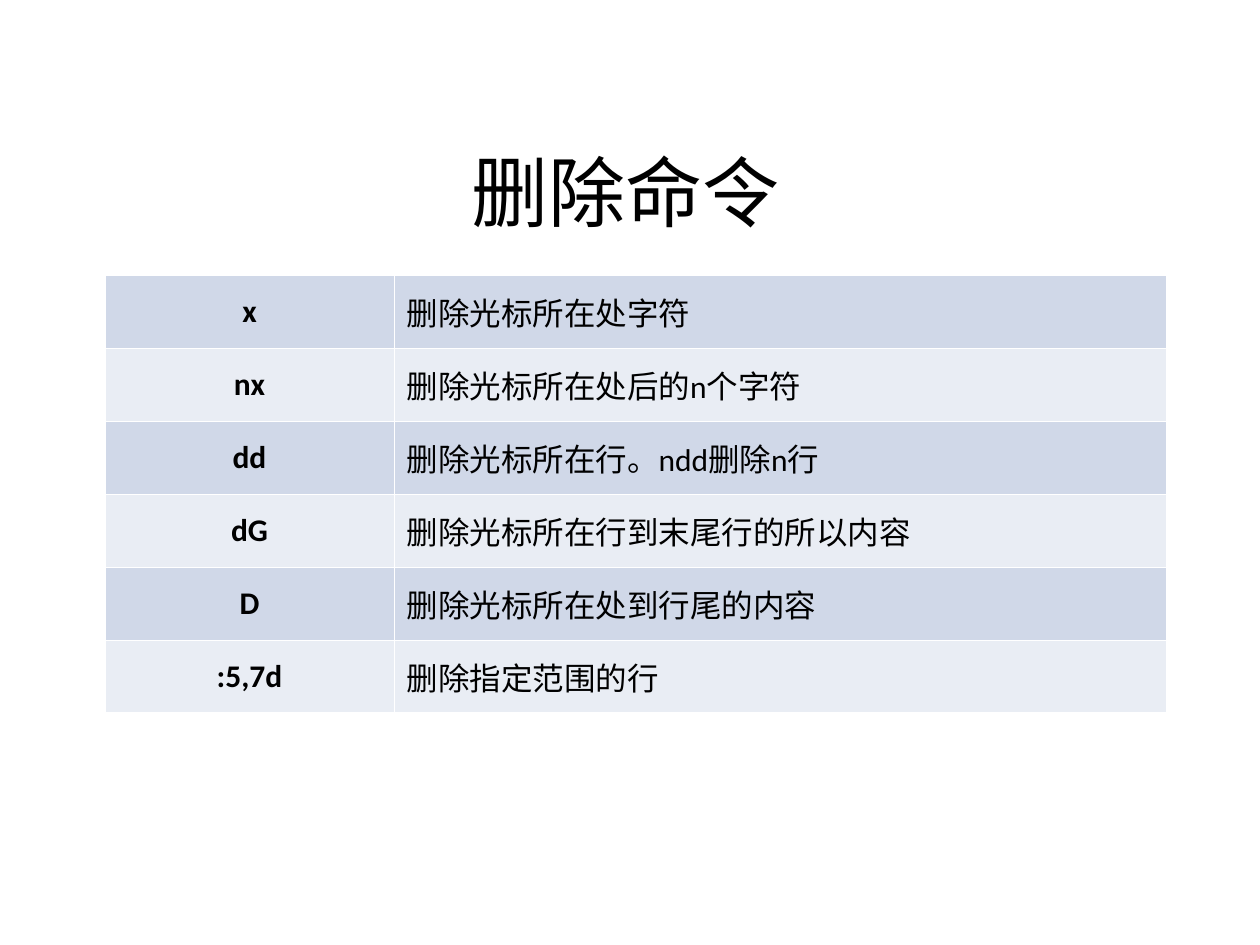
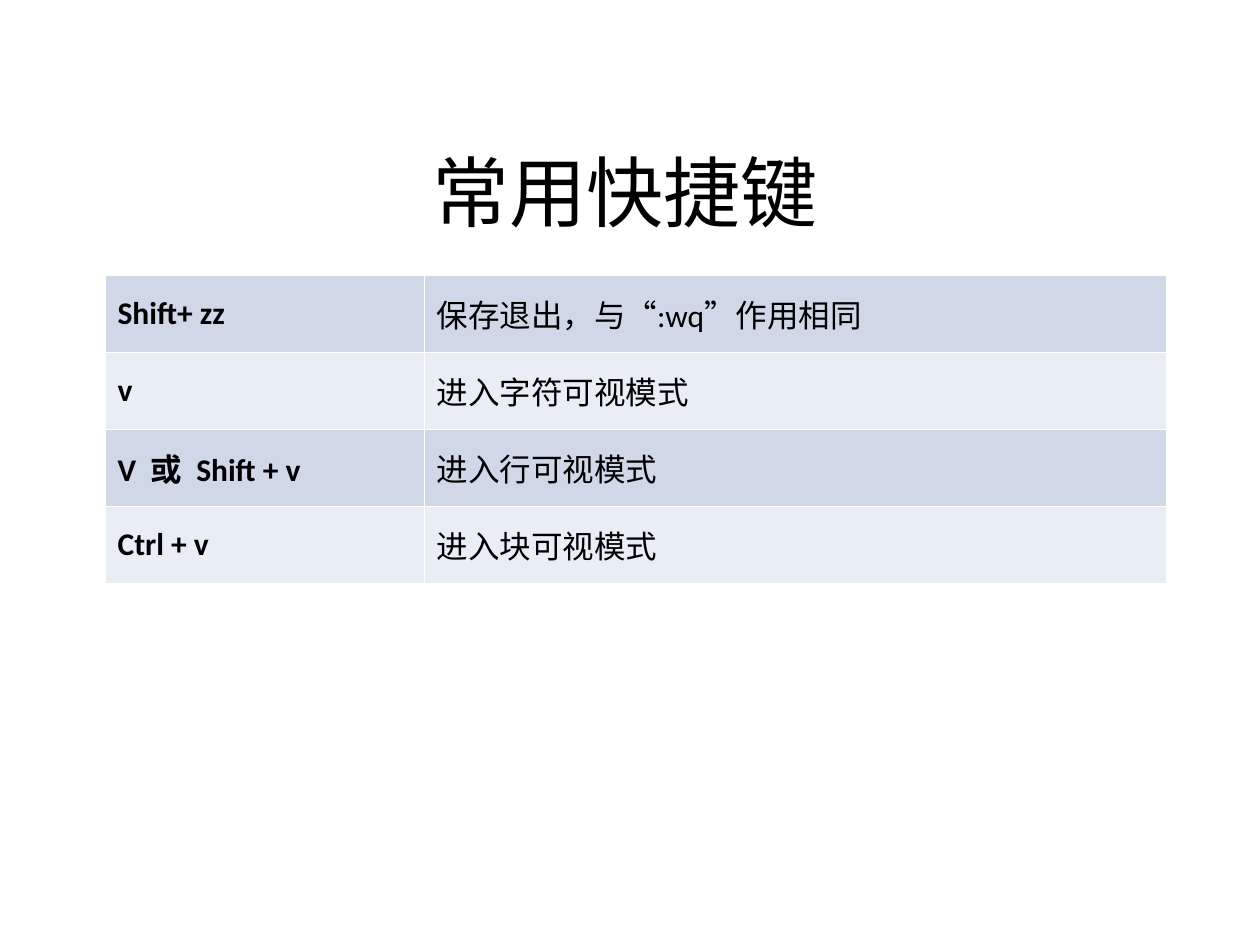
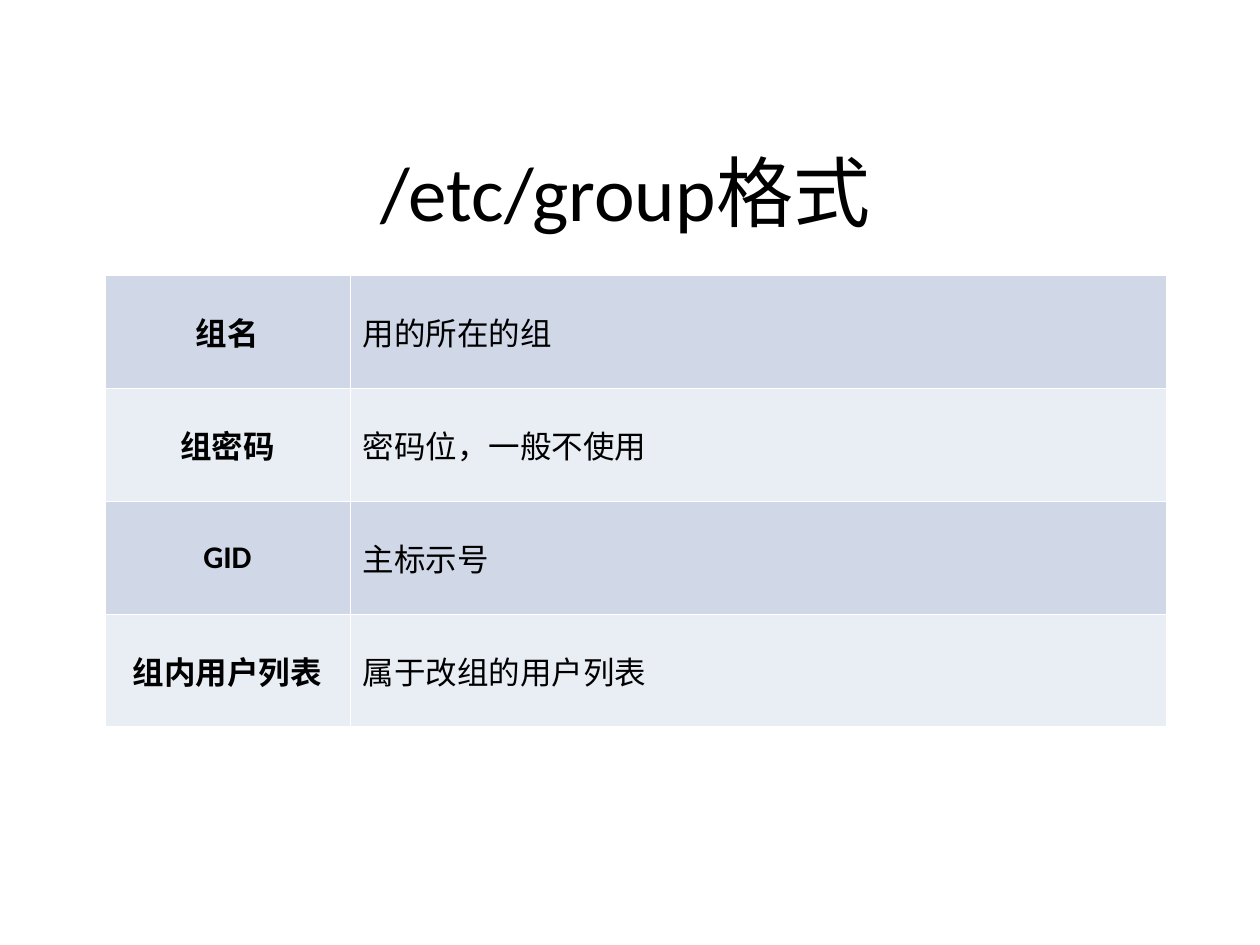
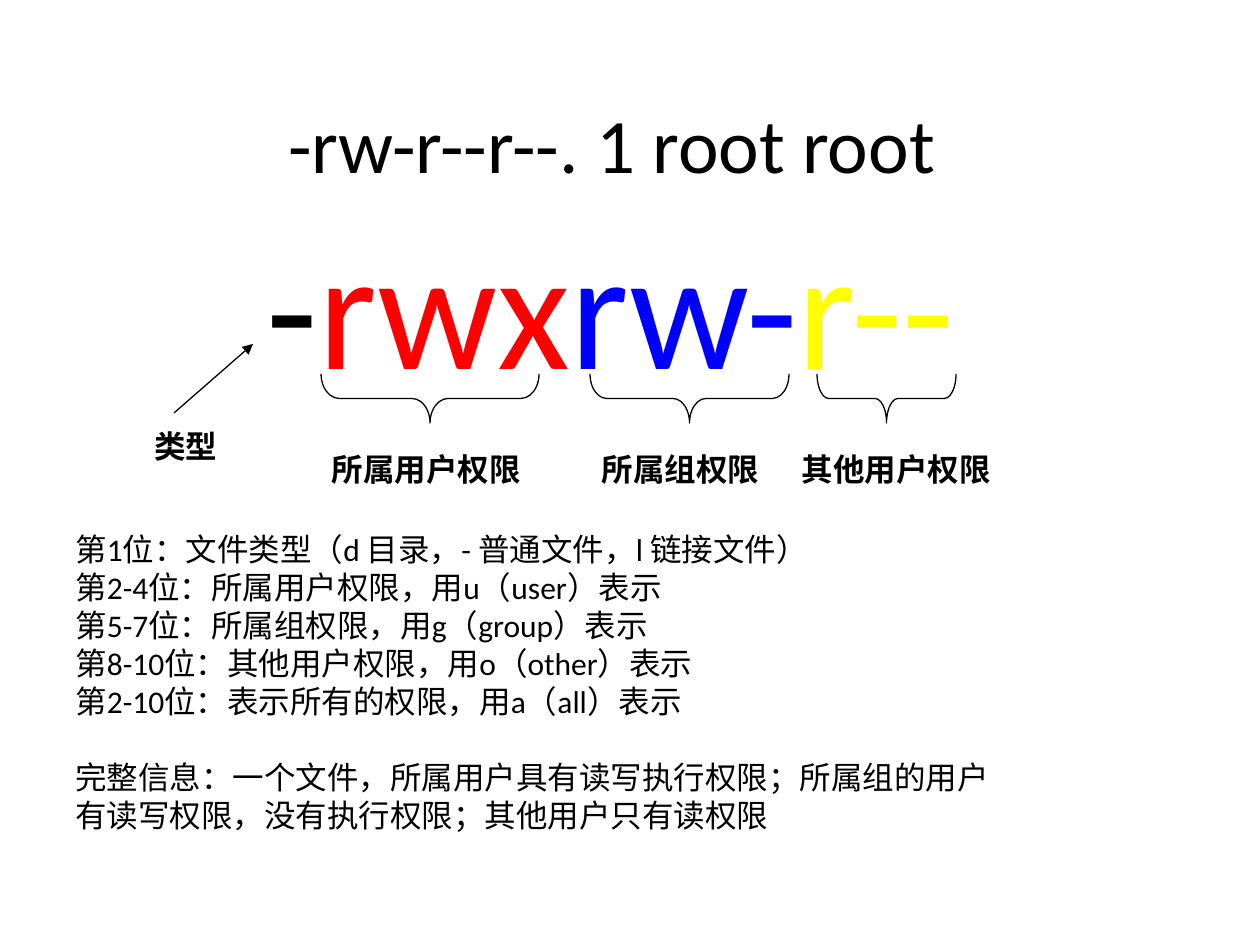
from lxml.etree import SubElement
from pptx import Presentation
from pptx.dml.color import RGBColor
from pptx.enum.shapes import MSO_CONNECTOR as Connector, MSO_SHAPE as Preset
from pptx.enum.text import MSO_ANCHOR as Anchor, PP_ALIGN as Align
from pptx.oxml.ns import qn
from pptx.util import Emu, Pt

SLIDE_SIZE = (1260, 945)
EMU_PER_PX = 914400 / 126
FONT = "Calibri"
QUOTE_FONT = "Arial"
BLACK, WHITE = "000000", "FFFFFF"
RED, BLUE, YELLOW = "FF0000", "0000FF", "FFFF00"
BANDS = ("D0D8E8", "E9EDF4")
TITLE_SIZE, BODY_SIZE, MODE_SIZE = 44, 18, 96
SPACE_BEFORE = 4.5
TITLE_BOX = (95, 45, 1061, 198)
TABLE_ORIGIN = (105, 275)
TABLE_WIDTH = 1061

TABLE_SLIDES = [
    dict(
        title="删除命令", key_width=289, row_height=73, key_align=Align.CENTER,
        rows=[
            ("x", "删除光标所在处字符"),
            ("nx", "删除光标所在处后的n个字符"),
            ("dd", "删除光标所在行。ndd删除n行"),
            ("dG", "删除光标所在行到末尾行的所以内容"),
            ("D", "删除光标所在处到行尾的内容"),
            (":5,7d", "删除指定范围的行"),
        ],
    ),
    dict(
        title="常用快捷键", key_width=319, row_height=77, key_align=Align.LEFT,
        rows=[
            ("Shift+ zz", "保存退出，与“:wq”作用相同"),
            ("v", "进入字符可视模式"),
            ("V  或  Shift + v", "进入行可视模式"),
            ("Ctrl + v", "进入块可视模式"),
        ],
    ),
    dict(
        title="/etc/group格式", key_width=245, row_height=113, key_align=Align.CENTER,
        rows=[
            ("组名", "用的所在的组"),
            ("组密码", "密码位，一般不使用"),
            ("GID", "主标示号"),
            ("组内用户列表", "属于改组的用户列表"),
        ],
    ),
]

MODE_PARTS = [("-", BLACK), ("rwx", RED), ("rw-", BLUE), ("r--", YELLOW)]
# Brace left and width, label, label left and width
PERMISSION_GROUPS = [
    (29, 218, "所属用户权限", 0, 268),
    (298, 199, "所属组权限", 279, 219),
    (525, 139, "其他用户权限", 497, 215),
]
POSITION_NOTES = [
    "第1位：文件类型（d 目录，- 普通文件，l 链接文件）",
    "第2-4位：所属用户权限，用u（user）表示",
    "第5-7位：所属组权限，用g（group）表示",
    "第8-10位：其他用户权限，用o（other）表示",
    "第2-10位：表示所有的权限，用a（all）表示",
]
SUMMARY_NOTES = [
    "完整信息：一个文件，所属用户具有读写执行权限；所属组的用户",
    "有读写权限，没有执行权限；其他用户只有读权限",
]


def px(length):
    return Emu(round(length * EMU_PER_PX))


def color(hex_string):
    return RGBColor.from_string(hex_string)


def add_run(paragraph, text, size=BODY_SIZE, bold=False, ink=BLACK, font=FONT):
    run = paragraph.add_run()
    run.text = text
    run.font.name = font
    run.font.size = Pt(size)
    run.font.bold = bold
    run.font.color.rgb = color(ink)


def add_quoted_runs(paragraph, text, bold):
    """Sets curly quotation marks in their own font."""
    for piece in text.replace("“", "\n“\n").replace("”", "\n”\n").split("\n"):
        add_run(paragraph, piece, bold=bold, font=QUOTE_FONT if piece in ("“", "”") else FONT)


def add_text_frame(slide, box, anchor=Anchor.TOP, wrap=True):
    frame = slide.shapes.add_textbox(*map(px, box)).text_frame
    frame.word_wrap = wrap
    frame.vertical_anchor = anchor
    return frame


def add_centred_text(slide, box, parts, size, bold=False, anchor=Anchor.TOP, wrap=True):
    paragraph = add_text_frame(slide, box, anchor, wrap).paragraphs[0]
    paragraph.alignment = Align.CENTER
    for text, ink in parts:
        add_run(paragraph, text, size, bold, ink)


def add_title(slide, box, text):
    add_centred_text(slide, box, [(text, BLACK)], TITLE_SIZE, anchor=Anchor.BOTTOM)


def add_label(slide, box, text):
    add_centred_text(slide, box, [(text, BLACK)], BODY_SIZE, bold=True, wrap=False)


def set_cell_borders(cell):
    properties = cell._tc.get_or_add_tcPr()
    for side in ("a:lnL", "a:lnR", "a:lnT", "a:lnB"):
        line = SubElement(properties, qn(side), w=str(Pt(0.45)))
        SubElement(SubElement(line, qn("a:solidFill")), qn("a:srgbClr"), val=WHITE)


def fill_cell(cell, text, band, bold, align):
    set_cell_borders(cell)
    cell.fill.solid()
    cell.fill.fore_color.rgb = color(band)
    cell.vertical_anchor = Anchor.MIDDLE
    paragraph = cell.text_frame.paragraphs[0]
    paragraph.alignment = align
    paragraph.space_before = Pt(SPACE_BEFORE)
    add_quoted_runs(paragraph, text, bold)


def add_key_table(slide, origin, width, key_width, row_height, key_align, rows):
    size = (width, row_height * len(rows))
    table = slide.shapes.add_table(len(rows), 2, *map(px, origin + size)).table
    table.first_row = table.horz_banding = False
    table.columns[0].width = px(key_width)
    table.columns[1].width = px(width - key_width)
    for index, (key, meaning) in enumerate(rows):
        band = BANDS[index % 2]
        table.rows[index].height = px(row_height)
        fill_cell(table.cell(index, 0), key, band, True, key_align)
        fill_cell(table.cell(index, 1), meaning, band, False, Align.LEFT)


def add_brace(slide, box):
    """Draws a brace that fills the box and points down."""
    left, top, width, depth = box
    shift = (width - depth) / 2
    brace = slide.shapes.add_shape(
        Preset.RIGHT_BRACE, px(left + shift), px(top - shift), px(depth), px(width))
    brace.rotation = 90
    brace.adjustments[0] = width / 12 / depth
    brace.shadow.inherit = False
    brace.fill.solid()
    brace.fill.fore_color.rgb = color(WHITE)
    brace.line.color.rgb = color(BLACK)
    brace.line.width = Pt(0.75)


def add_arrow(slide, start, end):
    arrow = slide.shapes.add_connector(Connector.STRAIGHT, *map(px, start + end))
    arrow.line.color.rgb = color(BLACK)
    arrow.line.width = Pt(0.75)
    SubElement(arrow.line._get_or_add_ln(), qn("a:tailEnd"), type="triangle")
    SubElement(arrow._element.spPr, qn("a:effectLst"))


def add_permission_groups(slide, left, top):
    for brace_left, brace_width, label, label_left, label_width in PERMISSION_GROUPS:
        add_brace(slide, (left + brace_left, top, brace_width, 49))
        add_label(slide, (left + label_left, top + 70, label_width, 50), label)


def add_file_type(slide, left, top):
    add_arrow(slide, (left + 66, top + 69), (left + 145, top))
    add_label(slide, (left, top + 77, 155, 50), "类型")


def add_notes(slide, box):
    frame = add_text_frame(slide, box, Anchor.BOTTOM)
    for index, text in enumerate(POSITION_NOTES + SUMMARY_NOTES):
        paragraph = frame.add_paragraph() if index else frame.paragraphs[0]
        paragraph.line_spacing = 0.8
        starts_summary = index == len(POSITION_NOTES)
        paragraph.space_before = Pt(26 if starts_summary else SPACE_BEFORE)
        properties = paragraph._p.get_or_add_pPr()
        properties.set("marL", str(px(48)))
        properties.set("indent", str(px(-48)))
        add_run(paragraph, text)


def build_table_slide(slide, title, **table):
    add_title(slide, TITLE_BOX, title)
    add_key_table(slide, TABLE_ORIGIN, TABLE_WIDTH, **table)


def build_permission_slide(slide):
    add_title(slide, (63, 38, 1098, 157), "-rw-r--r--. 1 root root")
    add_notes(slide, (63, 220, 1134, 620))
    add_centred_text(slide, (184, 195, 853, 214), MODE_PARTS, MODE_SIZE)
    add_permission_groups(slide, 292, 374)
    add_file_type(slide, 108, 344)


def main():
    presentation = Presentation()
    presentation.slide_width, presentation.slide_height = map(px, SLIDE_SIZE)
    blank = presentation.slide_layouts[6]
    for content in TABLE_SLIDES:
        build_table_slide(presentation.slides.add_slide(blank), **content)
    build_permission_slide(presentation.slides.add_slide(blank))
    presentation.save("out.pptx")


if __name__ == "__main__":
    main()
